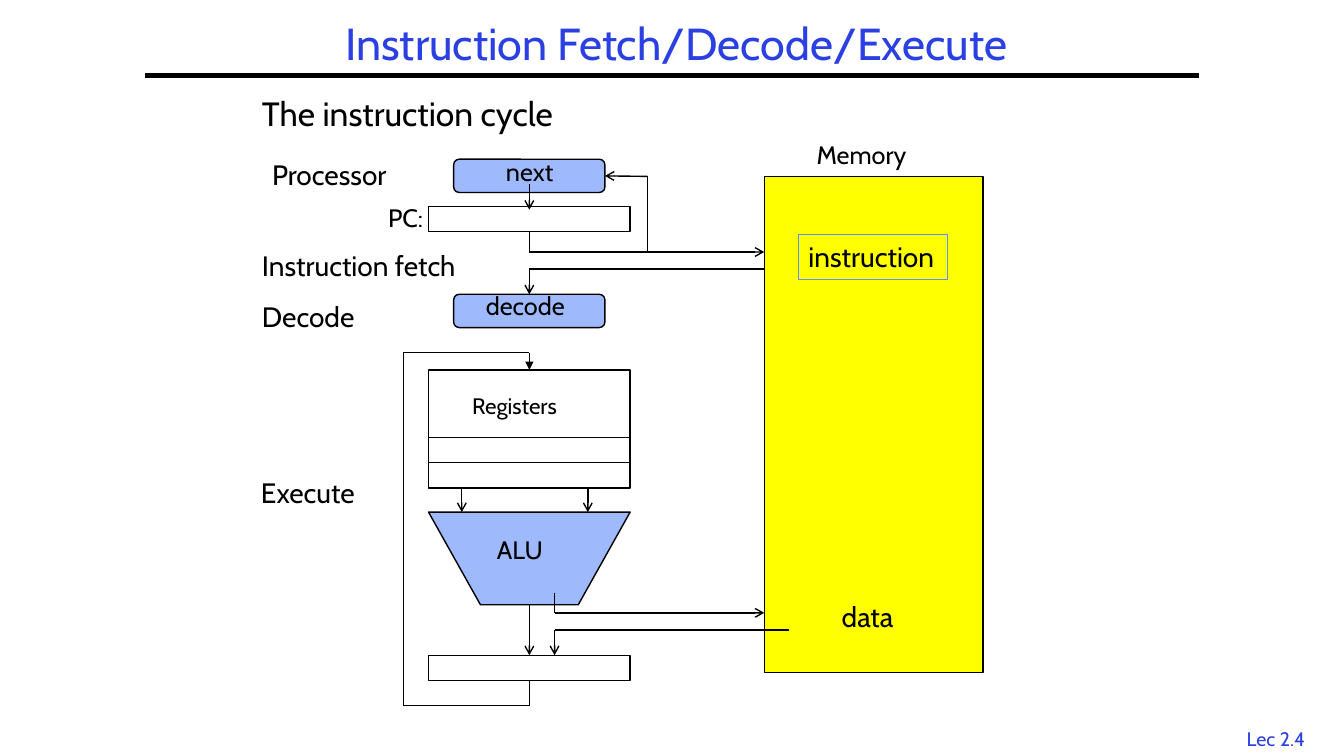
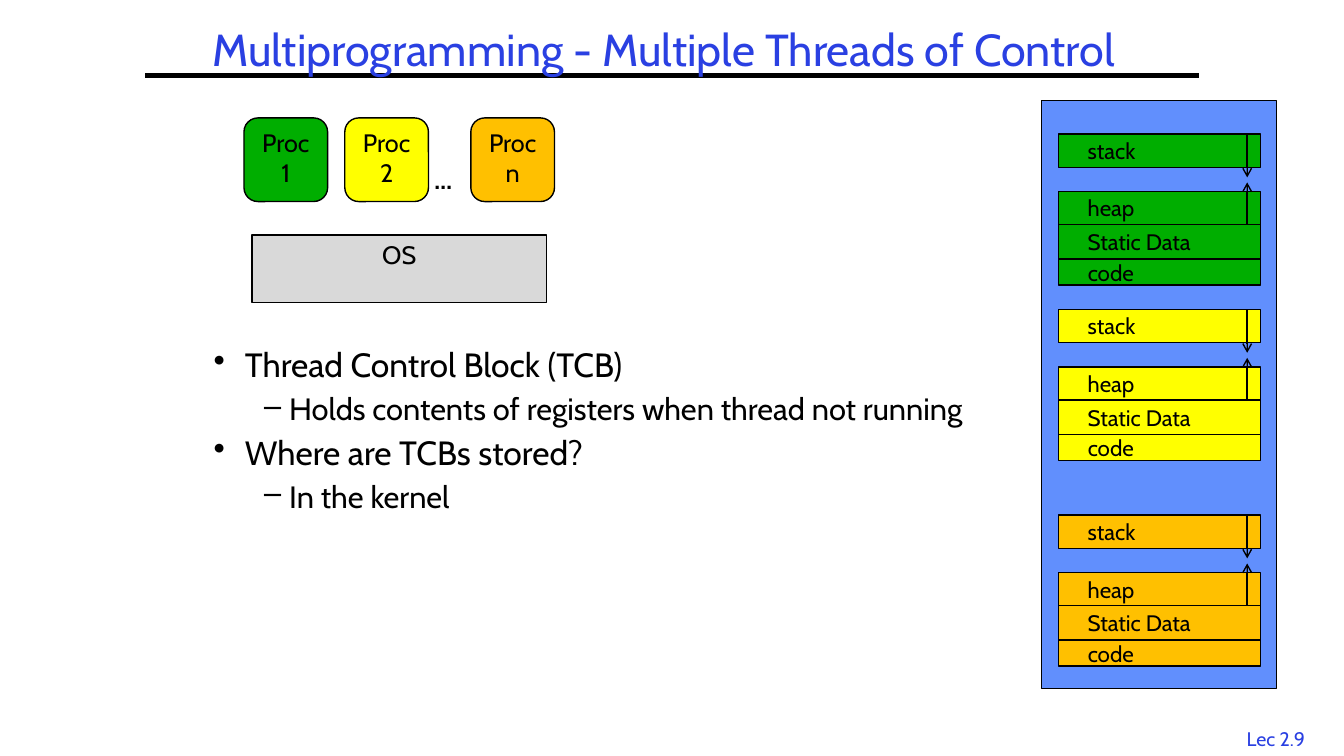
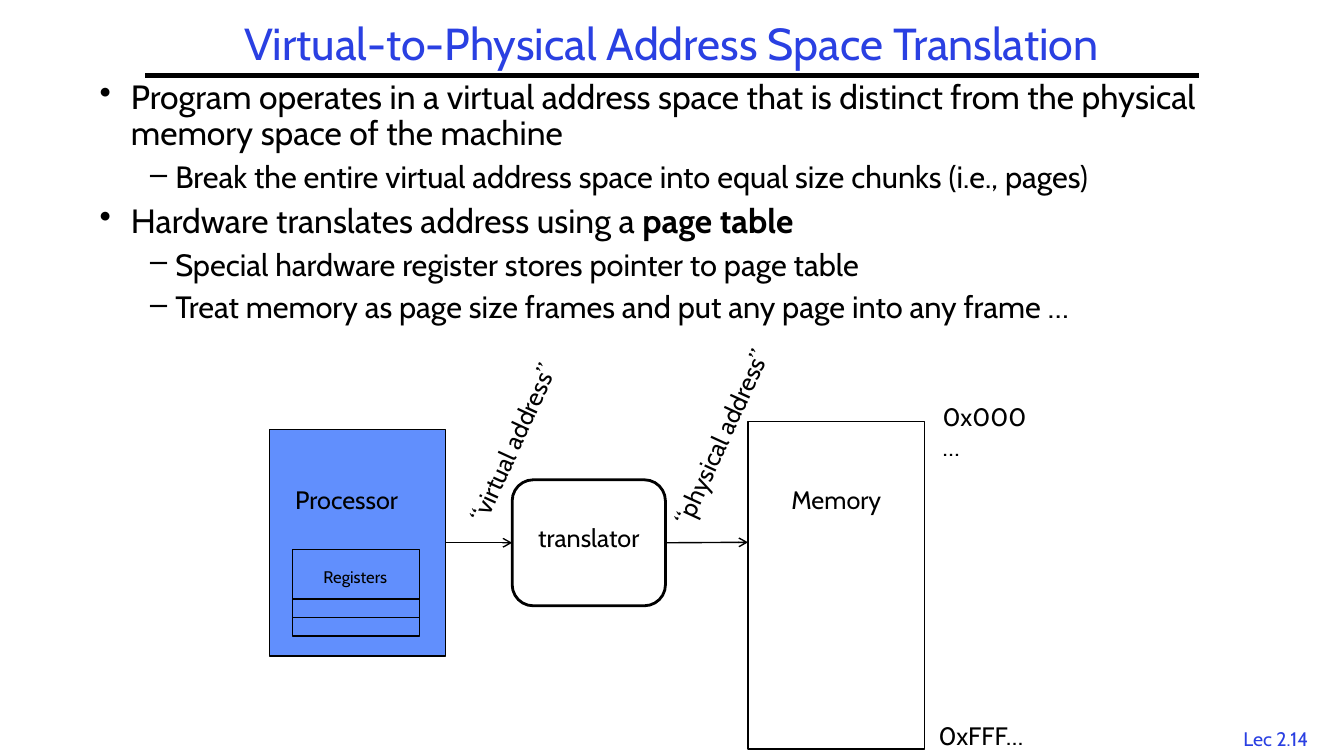
from dataclasses import dataclass
from itertools import pairwise
from typing import Any

from lxml import etree
from pptx import Presentation
from pptx.dml.color import RGBColor
from pptx.enum.shapes import MSO_CONNECTOR, MSO_SHAPE
from pptx.enum.text import MSO_ANCHOR, MSO_AUTO_SIZE, PP_ALIGN
from pptx.oxml.ns import qn
from pptx.util import Inches, Pt

FONT = "Cabin"
BLACK = RGBColor(0x00, 0x00, 0x00)
WHITE = RGBColor(0xFF, 0xFF, 0xFF)
TITLE_BLUE = RGBColor(0x2A, 0x40, 0xE2)
BLUE = RGBColor(0x61, 0x8F, 0xFD)
YELLOW = RGBColor(0xFF, 0xFF, 0x00)
GREEN = RGBColor(0x00, 0xAE, 0x00)
ORANGE = RGBColor(0xFF, 0xC0, 0x00)
GREY = RGBColor(0xD9, 0xD9, 0xD9)

RECTANGLE = MSO_SHAPE.RECTANGLE
ROUNDED = MSO_SHAPE.ROUNDED_RECTANGLE
TRAPEZOID = MSO_SHAPE.TRAPEZOID
ALTERNATE_PROCESS = MSO_SHAPE.FLOWCHART_ALTERNATE_PROCESS
STRAIGHT = MSO_CONNECTOR.STRAIGHT
LEFT, CENTER = PP_ALIGN.LEFT, PP_ALIGN.CENTER
TOP, MIDDLE = MSO_ANCHOR.TOP, MSO_ANCHOR.MIDDLE
TOP_SIDE, LEFT_SIDE, BOTTOM_SIDE, RIGHT_SIDE = range(4)

TITLE_ONLY_LAYOUT = 5
PALE_PERCENT = 61
# Bullet character, left margin, first-line indent and text size by level
BULLET_LEVELS = [("•", 0.31, -0.31, 24), ("–", 0.75, -0.25, 22)]


def write_runs(paragraph, text, *, size, color=BLACK, align=None,
               line_spacing=None, space_before=None):
    """Write text into a paragraph; parts between asterisks are bold."""
    paragraph.alignment = align
    paragraph.line_spacing = line_spacing
    paragraph.space_before = space_before
    for index, part in enumerate(text.split("*")):
        run = paragraph.add_run()
        run.text = part
        run.font.name = FONT
        run.font.size = Pt(size)
        run.font.color.rgb = color
        run.font.bold = index % 2 == 1


def format_frame(frame, *, anchor=TOP, wrap=True, grow=False):
    frame.word_wrap = wrap
    frame.auto_size = (MSO_AUTO_SIZE.SHAPE_TO_FIT_TEXT if grow
                       else MSO_AUTO_SIZE.NONE)
    frame.vertical_anchor = anchor
    frame.margin_left = frame.margin_right = Inches(0.1)
    frame.margin_top = frame.margin_bottom = Inches(0.05)


def label_height(size):
    return 0.1 + size / 60


@dataclass
class Region:
    """Part of a slide whose contents are placed from its top left corner."""
    slide: Any
    left: float = 0
    top: float = 0

    def inner(self, left, top):
        return Region(self.slide, self.left + left, self.top + top)

    def place(self, left, top, width, height):
        return (Inches(self.left + left), Inches(self.top + top),
                Inches(width), Inches(height))

    def box(self, left, top, width, height, text=None, *, kind=RECTANGLE,
            fill=None, pale=False, line=BLACK, line_width=1, size=18,
            align=CENTER, anchor=TOP, wrap=True):
        shape = self.slide.shapes.add_shape(
            kind, *self.place(left, top, width, height))
        shape.shadow.inherit = False
        shape.line.color.rgb = line
        shape.line.width = Pt(line_width)
        if fill is None:
            shape.fill.background()
        else:
            shape.fill.solid()
            shape.fill.fore_color.rgb = fill
        if pale:
            color = shape._element.spPr.find(qn("a:solidFill"))[0]
            etree.SubElement(color, qn("a:alpha"),
                             val=str(PALE_PERCENT * 1000))
        if text:
            format_frame(shape.text_frame, anchor=anchor, wrap=wrap)
            write_runs(shape.text_frame.paragraphs[0], text, size=size,
                       align=align)
        return shape

    def label(self, left, top, width, text, *, size=18, rotation=0,
              wrap=False, **text_format):
        textbox = self.slide.shapes.add_textbox(
            *self.place(left, top, width, label_height(size)))
        textbox.rotation = rotation
        format_frame(textbox.text_frame, wrap=wrap, grow=not wrap)
        write_runs(textbox.text_frame.paragraphs[0], text, size=size,
                   **text_format)

    def bullets(self, left, top, width, height, items):
        textbox = self.slide.shapes.add_textbox(
            *self.place(left, top, width, height))
        frame = textbox.text_frame
        format_frame(frame)
        for index, (level, text) in enumerate(items):
            paragraph = frame.add_paragraph() if index else frame.paragraphs[0]
            character, margin, indent, size = BULLET_LEVELS[level]
            paragraph.level = level
            properties = paragraph._p.get_or_add_pPr()
            properties.set("marL", str(Inches(margin)))
            properties.set("indent", str(Inches(indent)))
            etree.SubElement(properties, qn("a:buChar"), char=character)
            write_runs(paragraph, text, size=size, line_spacing=0.9,
                       space_before=Pt(6.5) if index else None)

    def route(self, *points, head=None, start=None, end=None, width=1):
        """Draw straight lines through points, joined to (shape, side) ends."""
        connectors = []
        for (x1, y1), (x2, y2) in pairwise(points):
            connector = self.slide.shapes.add_connector(
                STRAIGHT, Inches(self.left + x1), Inches(self.top + y1),
                Inches(self.left + x2), Inches(self.top + y2))
            connector.line.color.rgb = BLACK
            connector.line.width = Pt(width)
            etree.SubElement(connector._element.spPr, qn("a:effectLst"))
            connectors.append(connector)
        if start:
            connectors[0].begin_connect(*start)
        if end:
            connectors[-1].end_connect(*end)
        if head:
            line = connectors[-1].line._get_or_add_ln()
            etree.SubElement(line, qn("a:tailEnd"), type=head)


def add_slide(presentation, title, number, left, top, width, height):
    """Add a slide with its title, rule and lecture number."""
    layout = presentation.slide_layouts[TITLE_ONLY_LAYOUT]
    page = Region(presentation.slides.add_slide(layout))
    page.label(12.17, 7.16, 0.97, f"Lec 2.{number}", size=14,
               color=TITLE_BLUE, align=CENTER)
    page.route((1.44, 0.75), (11.89, 0.75), width=3)
    shapes = page.slide.shapes
    placeholder = shapes.title
    (placeholder.left, placeholder.top, placeholder.width,
     placeholder.height) = page.place(left, top, width, height)
    shapes._spTree.append(placeholder._element)
    format_frame(placeholder.text_frame, anchor=MIDDLE)
    write_runs(placeholder.text_frame.paragraphs[0], title, size=32,
               color=TITLE_BLUE, align=CENTER, line_spacing=0.9)
    return page


def draw_registers(region, width, height, size):
    row_height = height * 3 / 14
    registers = region.box(0, 0, width, height)
    region.box(0, height - 2 * row_height, width, row_height)
    region.label(width / 6, height / 7, size * 0.07, "Registers", size=size)
    return registers


def draw_memory(region):
    region.box(0, 0, 2.17, 4.92, fill=YELLOW)
    region.label(0.42, -0.42, 1.11, "Memory")
    region.box(0.34, 0.58, 1.48, 0.44, "instruction", size=20, line=BLUE,
               line_width=0.75, align=LEFT, wrap=False)
    region.label(0.67, 4.15, 0.75, "data", size=20)


def draw_fetch_and_decode(region, memory_x):
    next_box = region.box(0.25, 0, 1.5, 0.33, kind=ROUNDED, fill=BLUE,
                          pale=True)
    region.label(0.67, -0.08, 0.68, "next")
    counter = region.box(0, 0.47, 2, 0.25)
    region.label(-0.5, 0.38, 0.62, "PC:")
    decode = region.box(0.25, 1.34, 1.5, 0.33, kind=ROUNDED, fill=BLUE,
                        pale=True)
    region.label(0.47, 1.25, 1.03, "decode")
    region.route((1, 0.25), (1, 0.5), head="arrow")
    region.route((1, 0.72), (1, 0.92), (memory_x, 0.92), head="arrow",
                 start=(counter, BOTTOM_SIDE))
    region.route((2.17, 0.92), (2.17, 0.17), (1.75, 0.17), head="arrow",
                 end=(next_box, RIGHT_SIDE))
    region.route((memory_x, 1.09), (1, 1.09), (1, 1.34), head="arrow",
                 end=(decode, TOP_SIDE))


def draw_execution(region, memory_x):
    registers = draw_registers(region, 2, 1.17, 16)
    alu = region.box(0, 1.41, 2, 0.92, kind=TRAPEZOID, fill=BLUE, pale=True)
    alu.rotation = 180
    alu.adjustments[0] = 0.56
    region.label(0.58, 1.58, 0.69, "ALU")
    result = region.box(0, 2.83, 2, 0.25)
    for operand_x in (0.33, 1.58):
        region.route((operand_x, 1.17), (operand_x, 1.41), head="arrow")
    region.route((1, 2.33), (1, 2.83), head="arrow", end=(result, TOP_SIDE))
    region.route((1.25, 2.21), (1.25, 2.41), (memory_x, 2.41), head="arrow")
    region.route((memory_x + 0.25, 2.58), (1.25, 2.58), (1.25, 2.83),
                 head="arrow")
    region.route((1, 3.08), (1, 3.33), (-0.25, 3.33), (-0.25, -0.17),
                 (1, -0.17), (1, 0), head="triangle",
                 start=(result, BOTTOM_SIDE), end=(registers, TOP_SIDE))


def build_instruction_cycle(presentation):
    page = add_slide(presentation, "Instruction Fetch/Decode/Execute", 4,
                     1.75, 0.17, 9.92, 0.58)
    page.label(2.5, 0.92, 8.33, "The instruction cycle", size=24, wrap=True,
               line_spacing=0.9)
    for left, top, width, stage in [(2.6, 1.51, 1.46, "Processor"),
                                    (2.5, 2.42, 2.18, "Instruction fetch"),
                                    (2.5, 2.92, 1.17, "Decode"),
                                    (2.49, 4.67, 1.22, "Execute")]:
        page.label(left, top, width, stage, size=20)
    draw_memory(page.inner(7.58, 1.75))
    draw_fetch_and_decode(page.inner(4.25, 1.58), 3.33)
    draw_execution(page.inner(4.25, 3.67), 3.33)


def draw_processes(region):
    region.box(0.08, 1.16, 2.92, 0.67, "OS", fill=GREY)
    for left, name, color in [(0, "Proc 1", GREEN), (1, "Proc 2", YELLOW),
                              (2.25, "Proc n", ORANGE)]:
        region.box(left, 0, 0.83, 0.83, name, kind=ROUNDED, fill=color)
    region.label(1.79, 0.41, 0.45, "*…*")


def draw_address_space(region, color):
    for top, height, label_width, name in [(0, 0.33, 0.73, "stack"),
                                           (0.57, 0.33, 0.7, "heap"),
                                           (0.9, 0.34, 1.3, "Static Data"),
                                           (1.24, 0.26, 0.69, "code")]:
        region.box(0, top, 2, height, fill=color)
        region.label(0.19, top + (height - label_height(16)) / 2,
                     label_width, name, size=16)
    region.route((1.87, 0), (1.87, 0.43), head="arrow")
    region.route((1.87, 0.9), (1.87, 0.48), head="arrow")


def build_multiprogramming(presentation):
    page = add_slide(presentation,
                     "Multiprogramming - Multiple Threads of Control", 9,
                     1.75, 0.11, 9.67, 0.81)
    page.bullets(2.02, 3.41, 8.18, 2.44, [
        (0, "Thread Control Block (TCB)"),
        (1, "Holds contents of registers when thread not running"),
        (0, "Where are TCBs stored?"),
        (1, "In the kernel"),
    ])
    draw_processes(page.inner(2.42, 1.17))
    page.box(10.33, 1, 2.33, 5.83, fill=BLUE)
    for top, color in [(1.33, GREEN), (3.07, YELLOW), (5.11, ORANGE)]:
        draw_address_space(page.inner(10.5, top), color)


def draw_translation(region):
    processor = region.box(0, 0.08, 1.75, 2.25, fill=BLUE)
    region.label(0.16, 0.58, 1.34, "Processor")
    draw_registers(region.inner(0.23, 1.27), 1.26, 0.86, 12)
    region.box(4.75, 0, 1.75, 3.25)
    region.label(5.08, 0.58, 1.11, "Memory")
    region.label(6.58, -0.25, 1.14, "0x000…", wrap=True)
    region.label(6.54, 2.92, 1.18, "0xFFF…")
    translator = region.box(2.41, 0.58, 1.52, 1.25, "translator",
                            kind=ALTERNATE_PROCESS, fill=WHITE, line_width=2,
                            anchor=MIDDLE)
    translator.text_frame.margin_bottom = Inches(0.15)
    region.route((1.75, 1.2), (2.41, 1.2), head="arrow",
                 start=(processor, RIGHT_SIDE), end=(translator, LEFT_SIDE))
    region.route((3.93, 1.2), (4.75, 1.2), head="arrow",
                 start=(translator, RIGHT_SIDE))
    region.label(1.43, -0.04, 2.01, "“virtual address”", rotation=294.7)
    region.label(3.39, -0.12, 2.25, "“physical address”", rotation=294.7)


def build_address_translation(presentation):
    page = add_slide(presentation,
                     "Virtual-to-Physical Address Space Translation", 14,
                     1.44, 0.17, 10.44, 0.58)
    page.bullets(0.89, 0.75, 11.56, 2.9, [
        (0, "Program operates in a virtual address space that is distinct "
            "from the physical memory space of the machine"),
        (1, "Break the entire virtual address space into equal size chunks "
            "(i.e., pages)"),
        (0, "Hardware translates address using a *page table*"),
        (1, "Special hardware register stores pointer to page table"),
        (1, "Treat memory as page size frames and put any page into any "
            "frame …"),
    ])
    draw_translation(page.inner(2.67, 4.18))


def main():
    presentation = Presentation()
    presentation.slide_width = Inches(13.33)
    presentation.slide_height = Inches(7.5)
    build_instruction_cycle(presentation)
    build_multiprogramming(presentation)
    build_address_translation(presentation)
    presentation.save("out.pptx")


if __name__ == "__main__":
    main()
